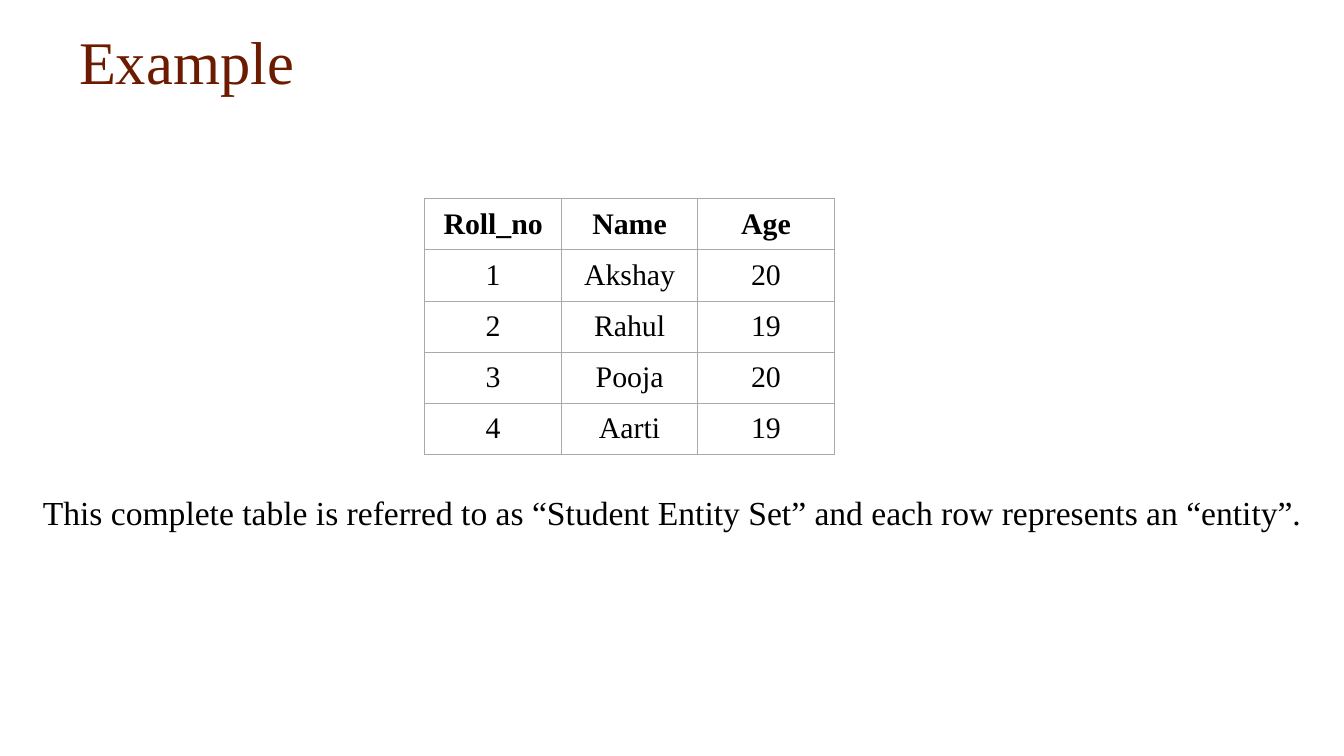
from lxml import etree
from pptx import Presentation
from pptx.dml.color import RGBColor
from pptx.enum.text import MSO_ANCHOR, PP_ALIGN
from pptx.oxml.ns import qn
from pptx.util import Inches, Pt

LEFT, CENTER = PP_ALIGN.LEFT, PP_ALIGN.CENTER
TOP, MIDDLE = MSO_ANCHOR.TOP, MSO_ANCHOR.MIDDLE
BLACK = RGBColor(0x00, 0x00, 0x00)
WHITE = RGBColor(0xFF, 0xFF, 0xFF)
BROWN = RGBColor(0x6C, 0x1A, 0x00)
GRAY = RGBColor(0xAA, 0xAA, 0xAA)

STUDENTS = [
    ("Roll_no", "Name", "Age"),
    ("1", "Akshay", "20"),
    ("2", "Rahul", "19"),
    ("3", "Pooja", "20"),
    ("4", "Aarti", "19"),
]


class SlideBuilder:
    font_name = "Times New Roman"
    border_width = Pt(0.6)

    def __init__(self, page):
        self.page = page

    def style(self, para, size, color, align, bold=False):
        para.alignment = align
        for span in para.runs:
            span.font.name = self.font_name
            span.font.size = Pt(size)
            span.font.bold = bold
            span.font.color.rgb = color

    def text(self, words, left, top, width, height, size, color=BLACK,
             align=LEFT, anchor=TOP):
        box = self.page.shapes.add_textbox(
            Inches(left), Inches(top), Inches(width), Inches(height))
        frame = box.text_frame
        frame.word_wrap = True
        frame.vertical_anchor = anchor
        frame.text = words
        self.style(frame.paragraphs[0], size, color, align)

    def border(self, cell):
        """Draw a thin line on all four sides of the cell."""
        properties = cell._tc.get_or_add_tcPr()
        for index, side in enumerate(("a:lnL", "a:lnR", "a:lnT", "a:lnB")):
            line = etree.Element(qn(side), w=str(self.border_width))
            fill = etree.SubElement(line, qn("a:solidFill"))
            etree.SubElement(fill, qn("a:srgbClr"), val=str(GRAY))
            properties.insert(index, line)

    def table(self, rows, left, top, column_widths, row_height, size):
        table = self.page.shapes.add_table(
            len(rows), len(column_widths), Inches(left), Inches(top),
            Inches(sum(column_widths)),
            Inches(row_height * len(rows))).table
        for column, width in zip(table.columns, column_widths):
            column.width = Inches(width)
        for row_index, values in enumerate(rows):
            table.rows[row_index].height = Inches(row_height)
            for column_index, value in enumerate(values):
                cell = table.cell(row_index, column_index)
                cell.text_frame.text = value
                cell.vertical_anchor = MIDDLE
                cell.margin_left = cell.margin_right = Inches(0.08)
                cell.margin_top = cell.margin_bottom = Inches(0.05)
                cell.fill.solid()
                cell.fill.fore_color.rgb = WHITE
                self.border(cell)
                self.style(cell.text_frame.paragraphs[0], size, BLACK,
                           CENTER, bold=row_index == 0)


def main():
    deck = Presentation()
    deck.slide_width = Inches(10)
    deck.slide_height = deck.slide_width * 9 // 16
    builder = SlideBuilder(deck.slides.add_slide(deck.slide_layouts[6]))
    builder.text("Example", 0.49, 0.03, 9.02, 0.84, 32.4, BROWN,
                 anchor=MIDDLE)
    builder.table(STUDENTS, 3.16, 1.48, (1.02, 1.01, 1.02), 0.38, 16)
    builder.text("This complete table is referred to as “Student Entity Set” "
                 "and each row represents an “entity”.",
                 0.16, 3.61, 9.69, 0.4, 18, align=CENTER)
    deck.save("out.pptx")


if __name__ == "__main__":
    main()
